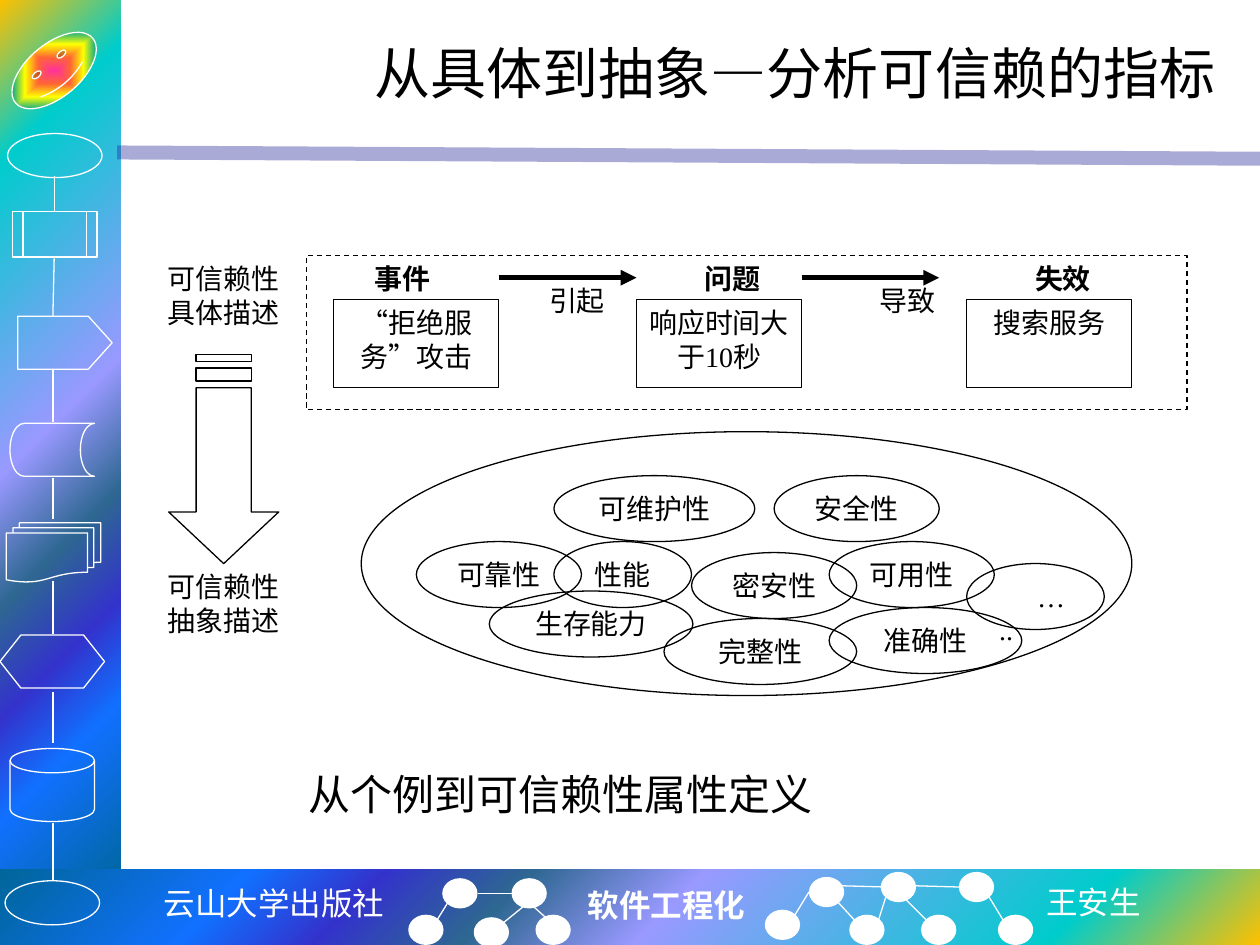
from pptx import Presentation
from pptx.dml.color import RGBColor
from pptx.enum.dml import MSO_LINE
from pptx.enum.shapes import MSO_CONNECTOR, MSO_SHAPE
from pptx.enum.text import MSO_ANCHOR, PP_ALIGN
from pptx.oxml import parse_xml
from pptx.oxml.ns import nsdecls
from pptx.util import Inches, Pt
from lxml.etree import SubElement

NS = "{http://schemas.openxmlformats.org/drawingml/2006/main}"
SERIF = "Times New Roman"
WHITE, BLACK = "FFFFFF", "000000"
OCEAN = [(0, "FFC000"), (16, "00CCCC"), (47, "9999FF"), (60, "2E6792"),
         (71, "3333CC"), (81, "1170FF"), (100, "006699")]
RAINBOW = [(0, "FF3399"), (25, "FF6633"), (50, "FFFF00"), (75, "01A78F"), (100, "3366FF")]


def rgb(code):
    return RGBColor.from_string(code)


class Grid:
    """Draws into a box (left, top, width, height) cut into columns and rows."""

    def __init__(self, shapes, box, cols, rows, ink):
        self.shapes, self.ink = shapes, ink
        self.left, self.top, wide, high = box
        self.col, self.row = wide / cols, high / rows

    def spot(self, x, y):
        return Inches(self.left + x * self.col), Inches(self.top + y * self.row)

    def area(self, x, y, w, h):
        return *self.spot(x, y), Inches(w * self.col), Inches(h * self.row)

    def form(self, kind, box, fill=None, line=True):
        shape = self.shapes.add_shape(kind, *self.area(*box))
        return self.style(shape, fill, line)

    def style(self, shape, fill=None, line=True):
        shape.shadow.inherit = False
        if fill:
            shape.fill.solid()
            shape.fill.fore_color.rgb = rgb(fill)
        else:
            shape.fill.background()
        if line:
            shape.line.color.rgb = rgb(self.ink)
            shape.line.width = Pt(0.75)
        else:
            shape.line.fill.background()
        return shape

    def link(self, start, end, width=0.75, color=None):
        line = self.shapes.add_connector(
            MSO_CONNECTOR.STRAIGHT, *self.spot(*start), *self.spot(*end))
        line.line.color.rgb = rgb(color or self.ink)
        line.line.width = Pt(width)
        SubElement(line._element.spPr, NS + "effectLst")
        return line

    def label(self, box, text, wrap=True, **look):
        frame = self.shapes.add_textbox(*self.area(*box))
        write(frame, text, color=self.ink, **look)
        frame.text_frame.word_wrap = wrap


def write(shape, text, size=16, color=BLACK, font=SERIF, bold=False,
          align=PP_ALIGN.CENTER, indent=0, anchor=MSO_ANCHOR.TOP):
    frame = shape.text_frame
    frame.text = text
    frame.vertical_anchor = anchor
    for para in frame.paragraphs:
        para.alignment = align
        para.font.size, para.font.name, para.font.bold = Pt(size), font, bold
        para.font.color.rgb = rgb(color)
        if indent:
            para._p.get_or_add_pPr().set("indent", str(Inches(indent)))


def blend(shape, stops, path, focus):
    """Swap the empty fill of a shape for a path gradient."""
    marks = "".join(f'<a:gs pos="{pos * 1000}"><a:srgbClr val="{code}"/></a:gs>'
                    for pos, code in stops)
    edges = " ".join(f'{side}="{share * 1000}"' for side, share in zip("ltrb", focus))
    props = shape._element.spPr
    props.replace(props.find(NS + "noFill"), parse_xml(
        f'<a:gradFill {nsdecls("a")} rotWithShape="1"><a:gsLst>{marks}</a:gsLst>'
        f'<a:path path="{path}"><a:fillToRect {edges}/></a:path></a:gradFill>'))


def bands(shapes, box):
    """Coloured side and foot bands, and the rule under the title."""
    grid = Grid(shapes, box, 100, 75, WHITE)
    for area, focus in (((0, 0, 9.6, 70.9), (0, 0, 100, 100)),
                        ((0, 69, 100, 6), (100, 100, 0, 0))):
        band = grid.form(MSO_SHAPE.RECTANGLE, area, line=False)
        blend(band, OCEAN, "circle", focus)
    rule = grid.link((9.3, 12.1), (100, 12.6), 8, "262699")
    tint = rule._element.spPr.find(f".//{NS}srgbClr")
    SubElement(tint, NS + "alpha", val="39000")


def side(shapes, box):
    """Chain of flowchart symbols."""
    grid = Grid(shapes, box, 10, 75, WHITE)
    face = grid.form(MSO_SHAPE.SMILEY_FACE, (0.3, 3.5, 8, 4.2))
    face.adjustments[0] = 0.047
    face.rotation = -40
    blend(face, RAINBOW, "shape", (50, 50, 50, 50))
    for kind, *area in (
            (MSO_SHAPE.OVAL, 0.6, 10.6, 7.5, 3.5),
            (MSO_SHAPE.FLOWCHART_PREDEFINED_PROCESS, 1, 16.8, 6.7, 3.6),
            (MSO_SHAPE.PENTAGON, 1.4, 25.1, 7.5, 4.2),
            (MSO_SHAPE.FLOWCHART_STORED_DATA, 0.8, 33.6, 6.7, 4.2),
            (MSO_SHAPE.FLOWCHART_MULTIDOCUMENT, 0.5, 41.5, 7.5, 4.7),
            (MSO_SHAPE.FLOWCHART_PREPARATION, 0, 50.4, 8.3, 4.2),
            (MSO_SHAPE.FLOWCHART_MAGNETIC_DISK, 0.8, 59.4, 6.7, 5.8),
            (MSO_SHAPE.OVAL, 0.4, 69.9, 7.5, 3.5)):
        symbol = grid.form(kind, area)
        if kind == MSO_SHAPE.PENTAGON:
            symbol.adjustments[0] = 0.45
    grid.link((4.3, 14), (4.3, 16.8))
    grid.link((4.3, 20.5), (4.2, 25.1))
    for top, end in ((29.3, 33.5), (37.9, 41.2), (46.1, 50.3), (54.9, 59), (65.3, 69.9)):
        grid.link((4.2, top), (4.2, end))


def foot(shapes, box):
    """Credits and two networks of balls."""
    grid = Grid(shapes, box, 100, 6, WHITE)
    for area, text, font, bold in (
            ((11.9, 0.7, 19.7, 4), "云山大学出版社", "Courier New", False),
            ((45.6, 0.8, 14.6, 4), "软件工程化", SERIF, True),
            ((82, 0.6, 9.6, 4), "王安生", "Noto Sans CJK SC", False)):
        grid.label(area, text, wrap=False, size=18, font=font, bold=bold)
    for x, y in ((35.1, 0.7), (40.6, 0.7), (32.4, 3.6), (37.6, 3.8), (42.5, 3.6),
                 (64.2, 0.6), (69.9, 0.2), (76.1, 0.2),
                 (60.7, 3.2), (67.4, 3.6), (73.1, 3.6), (79.2, 3.6)):
        grid.form(MSO_SHAPE.OVAL, (x, y, 2.8, 2.4), WHITE, line=False)
    for x, y, u, v in (
            (34.7, 4, 35.5, 2.7), (40, 4.2, 41.6, 2.9), (40.6, 1.9, 37.9, 1.9),
            (43.4, 3.9, 42.4, 3), (63.1, 3.6, 64.2, 1.8), (67.8, 4, 66.5, 2.6),
            (69.7, 4.1, 70.3, 2.2), (73.5, 4, 71.5, 2), (79.6, 4, 78.5, 2.2),
            (66.8, 1.3, 70.3, 1.4), (72.6, 1.3, 76.1, 1.4)):
        grid.link((x, y), (u, v))


def chain(grid):
    """Concrete level: event, problem, failure."""
    frame = grid.form(MSO_SHAPE.RECTANGLE, (6, 0, 32, 7))
    frame.line.dash_style = MSO_LINE.DASH
    for x, head, name, text in ((7, 7, "事件", "“拒绝服务”攻击"),
                                (18, 19, "问题", "响应时间大于10秒"),
                                (30, 31, "失效", "搜索服务")):
        write(grid.form(MSO_SHAPE.RECTANGLE, (x, 2, 6, 4)), text)
        grid.label((head, 0, 5, 3), name, bold=True)
    for x, note, text in ((13, 13, "引起"), (24, 25, "导致")):
        arrow = grid.link((x, 1), (x + 5, 1), 3)
        SubElement(arrow.line._get_or_add_ln(), NS + "tailEnd", type="triangle")
        grid.label((note, 1, 5, 3), text, align=PP_ALIGN.LEFT, indent=0.3)


def cloud(grid):
    """Abstract level: the attributes of trust."""
    grid.form(MSO_SHAPE.OVAL, (8, 8, 28, 12))
    for x, y, w, text, fill in (
            (15, 13, 5, "性能", None), (12.65, 15.25, 7.4, "生存能力", None),
            (19, 16.5, 7, "完整性", None), (25, 16, 7, "准确性", None),
            (10, 13, 6, "可靠性", None), (20, 13.5, 6, "密安性", None),
            (25, 13, 6, "可用性", None), (15, 10, 7.3, "可维护性", WHITE),
            (23, 10, 6, "安全性", WHITE)):
        write(grid.form(MSO_SHAPE.OVAL, (x, y, w, 3), fill), text)
    more = grid.form(MSO_SHAPE.OVAL, (30, 14, 5, 3))
    write(more, "…..", align=PP_ALIGN.LEFT, indent=0.3)


def fall(grid):
    """Striped arrow from the concrete level down to the abstract one."""
    grid.label((0, 0, 6, 5), "可信赖性\n具体描述")
    grid.label((0, 14, 6, 5), "可信赖性\n抽象描述")
    tip = [(5, 11.65), (4, 11.65), (4, 6), (2, 6), (2, 11.65), (1, 11.65), (3, 14)]
    bars = [[(4, top), (2, top), (2, end), (4, end)]
            for top, end in ((5.1, 5.7), (4.5, 4.8))]
    pen = grid.shapes.build_freeform(*grid.spot(*tip[0]))
    pen.add_line_segments([grid.spot(*dot) for dot in tip[1:]])
    for first, *rest in bars:
        pen.move_to(*grid.spot(*first))
        pen.add_line_segments([grid.spot(*dot) for dot in rest])
    grid.style(pen.convert_to_shape())


def main():
    deck = Presentation()
    deck.slide_width, deck.slide_height = Inches(10), Inches(7.5)
    slide = deck.slides.add_slide(deck.slide_layouts[5])
    shapes = slide.shapes
    page = Grid(shapes, (0, 0, 10, 7.5), 100, 75, BLACK)

    bands(shapes, (0, 0, 10, 7.5))
    side(shapes, (0, 0, 1, 7.5))
    foot(shapes, (0, 6.9, 10, 0.6))

    title = shapes.title
    title.left, title.top, title.width, title.height = page.area(12.5, 1.7, 85, 8.1)
    write(title, "从具体到抽象—分析可信赖的指标", size=32,
          align=PP_ALIGN.RIGHT, anchor=MSO_ANCHOR.MIDDLE)

    group = shapes.add_group_shape()
    grid = Grid(group.shapes, (1.12, 2.03, 8.3, 3.49), 38, 20, BLACK)
    for part in (chain, cloud, fall):
        part(grid)

    page.label((23.5, 60.5, 50, 5), "从个例到可信赖性属性定义", size=24, align=PP_ALIGN.LEFT)
    deck.save("out.pptx")


if __name__ == "__main__":
    main()
